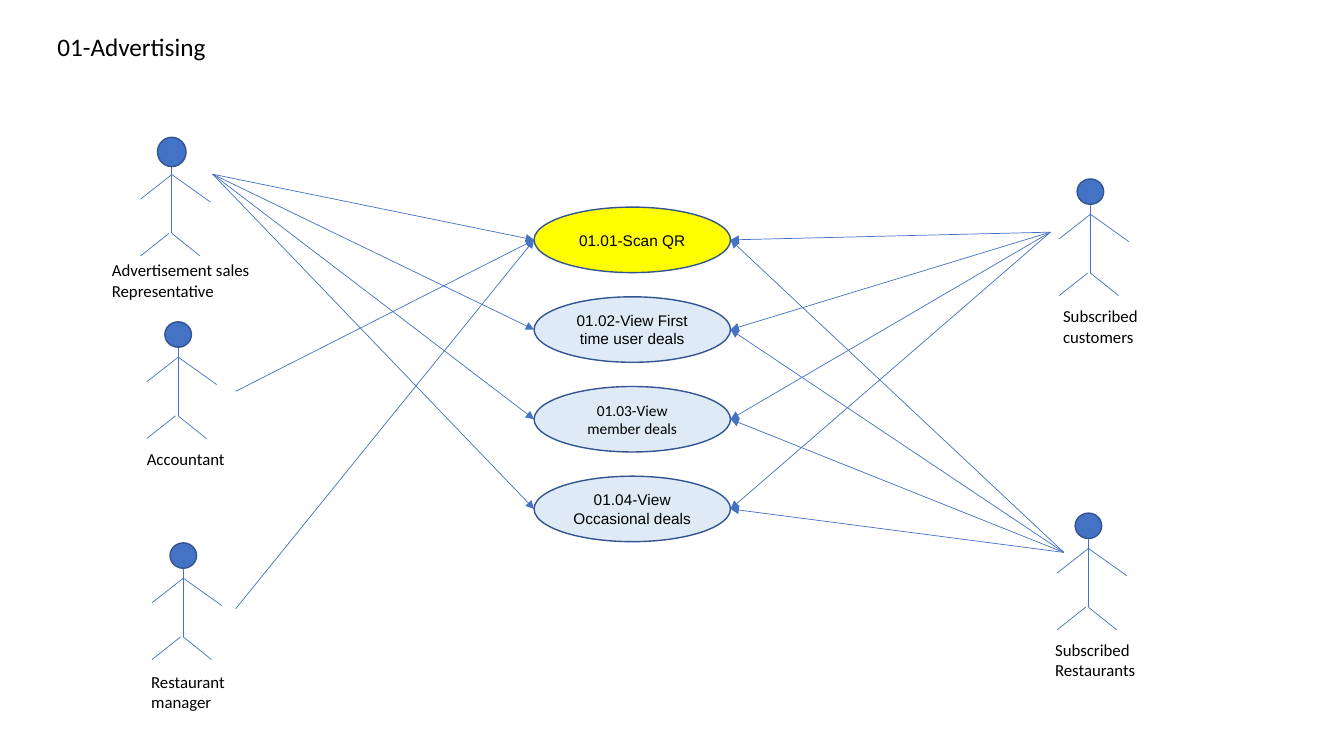
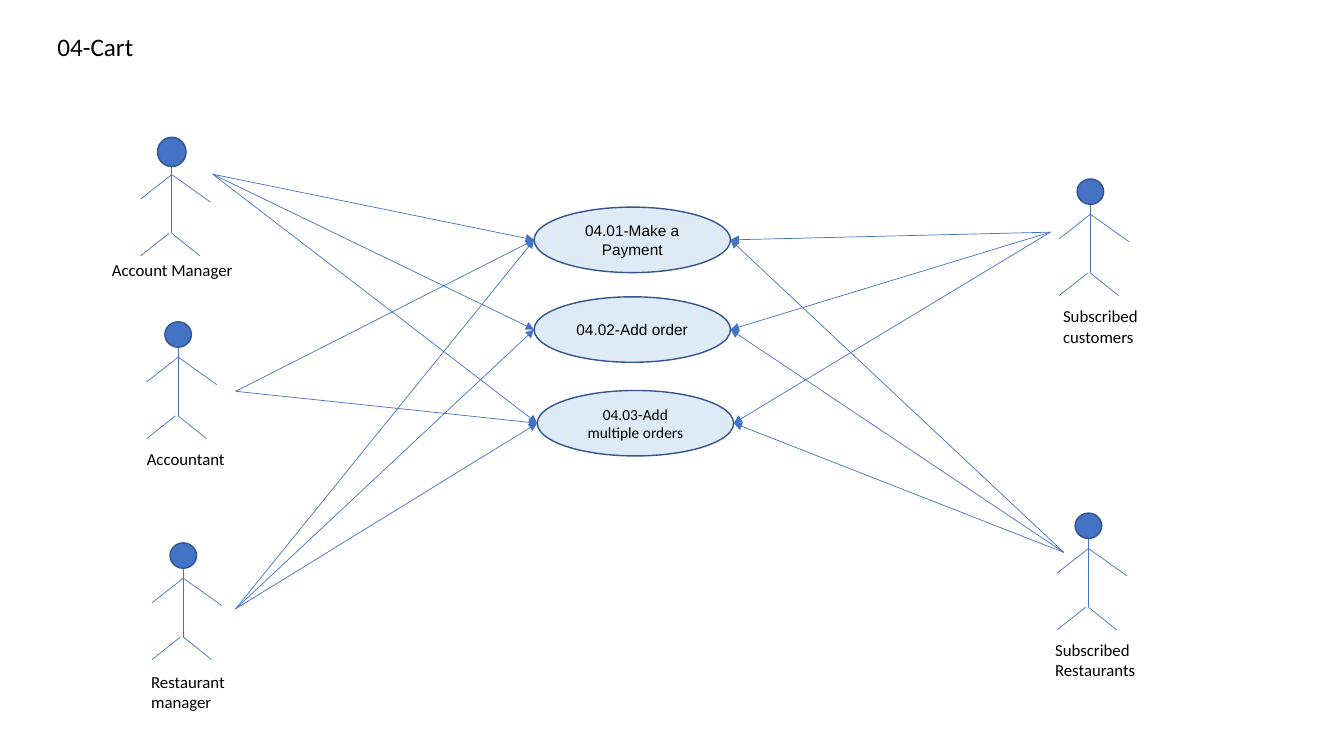
"""Build two use-case diagrams that link actors to the cases they take part in."""
from lxml import etree
from pptx import Presentation
from pptx.dml.color import RGBColor
from pptx.enum.shapes import MSO_CONNECTOR, MSO_SHAPE
from pptx.enum.text import MSO_ANCHOR, MSO_AUTO_SIZE, PP_ALIGN
from pptx.oxml.ns import qn
from pptx.util import Cm, Pt

OVAL, STRAIGHT = MSO_SHAPE.OVAL, MSO_CONNECTOR.STRAIGHT
LEFT, CENTER = PP_ALIGN.LEFT, PP_ALIGN.CENTER
TOP, MIDDLE = MSO_ANCHOR.TOP, MSO_ANCHOR.MIDDLE
NO_FIT, GROW = MSO_AUTO_SIZE.NONE, MSO_AUTO_SIZE.SHAPE_TO_FIT_TEXT

BLUE, OUTLINE, PALE, YELLOW, BLACK = "4472C4", "325491", "DEEBF7", "FFFF00", "000000"
rgb = RGBColor.from_string

CASE_LEFT, CASE_TOP, CASE_STEP = 13.46, 5.22, 2.26
CASE_WIDTH, CASE_HEIGHT = 4.95, 1.65

LIMBS = [
    (0, 0, 0, 1.74),
    (0, 1.74, 0.71, 2.31),
    (-0.79, 0.88, 0, 0.26),
    (0, 0.26, 0.97, 0.95),
    (-0.79, 2.31, -0.07, 1.74),
]
HEAD_RISE = 0.31
SMALL_HEAD, LARGE_HEAD = (0.67, 0.64), (0.72, 0.74)

# neck, head size, label place and width, start of links
ACTORS = {
    "sales": ((4.33, 4.14), LARGE_HEAD, (2.57, 6.43, 4.47), (5.36, 4.39)),
    "accountant": ((4.49, 8.74), SMALL_HEAD, (3.45, 11.18, 2.87), (5.94, 9.86)),
    "manager": ((4.62, 14.31), SMALL_HEAD, (3.56, 16.81, 2.87), (5.94, 15.34)),
    "customers": ((27.48, 5.14), SMALL_HEAD, (26.54, 7.59, 2.87), (26.47, 5.85)),
    "restaurants": ((27.43, 13.56), SMALL_HEAD, (26.34, 16, 2.87), (26.81, 13.92)),
}
LABELS = {
    "accountant": "Accountant",
    "manager": "Restaurant manager",
    "customers": "Subscribed customers",
    "restaurants": "Subscribed Restaurants",
}

# case: text, fill, font, shift right, shift down
DIAGRAMS = [
    {
        "title": "01-Advertising",
        "labels": {"sales": "Advertisement sales Representative", **LABELS},
        "cases": [
            ("01.01-Scan QR", YELLOW, "Arial", 0, 0),
            ("01.02-View First time user deals", PALE, "Arial", 0, 0),
            ("01.03-View member deals", PALE, "Calibri", 0, 0),
            ("01.04-View Occasional deals", PALE, "Arial", 0, 0),
        ],
        "links": {"sales": [0, 1, 2, 3], "accountant": [0], "manager": [0],
                  "customers": [0, 1, 2, 3], "restaurants": [0, 1, 2, 3]},
    },
    {
        "title": "04-Cart",
        "labels": {"sales": "Account Manager", **LABELS},
        "cases": [
            ("04.01-Make a Payment", PALE, "Arial", 0, 0),
            ("04.02-Add order", PALE, "Arial", 0, 0),
            ("04.03-Add multiple orders", PALE, "Calibri", 0.08, 0.1),
        ],
        "links": {"sales": [0, 1, 2], "accountant": [0, 2], "manager": [0, 1, 2],
                  "customers": [0, 1, 2], "restaurants": [0, 1, 2]},
    },
]


def write(shape, text, size=12, font="Calibri", align=LEFT, anchor=TOP, fit=NO_FIT):
    """Put formatted text into a shape."""
    frame = shape.text_frame
    frame.word_wrap = True
    frame.auto_size = fit
    frame.vertical_anchor = anchor
    paragraph = frame.paragraphs[0]
    paragraph.alignment = align
    run = paragraph.add_run()
    run.text = text
    run.font.size = Pt(size)
    run.font.name = font
    run.font.color.rgb = rgb(BLACK)


def draw_line(slide, x1, y1, x2, y2, arrow=False):
    """Draw a thin line, with an arrowhead at its end if asked."""
    line = slide.shapes.add_connector(STRAIGHT, Cm(x1), Cm(y1), Cm(x2), Cm(y2))
    line.line.color.rgb = rgb(BLUE)
    line.line.width = Pt(0.5)
    properties = line._element.spPr
    if arrow:
        etree.SubElement(properties.find(qn("a:ln")), qn("a:tailEnd"), type="triangle")
    etree.SubElement(properties, qn("a:effectLst"))


deck = Presentation()
deck.slide_width, deck.slide_height = Cm(33.87), Cm(19.05)
title_only = deck.slide_layouts[5]

for diagram in DIAGRAMS:
    slide = deck.slides.add_slide(title_only)
    title = slide.shapes.title
    title.left, title.top, title.width, title.height = Cm(1.19), Cm(0.66), Cm(6.99), Cm(1.02)
    write(title, diagram["title"], size=18)

    ovals = []
    case_places = []
    for row, (text, fill, font, right, down) in enumerate(diagram["cases"]):
        x, y = CASE_LEFT + right, CASE_TOP + row * CASE_STEP + down
        case_places.append((x, y + CASE_HEIGHT / 2))
        ovals.append((x, y, CASE_WIDTH, CASE_HEIGHT, fill, text, font))

    for actor, (neck, head, label_place, link_start) in ACTORS.items():
        neck_x, neck_y = neck
        head_width, head_height = head
        ovals.append((neck_x - head_width / 2, neck_y - HEAD_RISE - head_height / 2,
                      head_width, head_height, BLUE, "", ""))
        for x1, y1, x2, y2 in LIMBS:
            draw_line(slide, neck_x + x1, neck_y + y1, neck_x + x2, neck_y + y2)

        label_x, label_y, label_width = label_place
        label = slide.shapes.add_textbox(Cm(label_x), Cm(label_y), Cm(label_width), Cm(0.77))
        write(label, diagram["labels"][actor], fit=GROW)

    for x, y, width, height, fill, text, font in ovals:
        oval = slide.shapes.add_shape(OVAL, Cm(x), Cm(y), Cm(width), Cm(height))
        oval.shadow.inherit = False
        oval.fill.solid()
        oval.fill.fore_color.rgb = rgb(fill)
        oval.line.color.rgb = rgb(OUTLINE)
        oval.line.width = Pt(1)
        if text:
            write(oval, text, size=11, font=font, align=CENTER, anchor=MIDDLE)

    for actor, rows in diagram["links"].items():
        start_x, start_y = ACTORS[actor][3]
        for row in rows:
            case_x, case_y = case_places[row]
            end_x = case_x if start_x < case_x else case_x + CASE_WIDTH
            draw_line(slide, start_x, start_y, end_x, case_y, arrow=True)

deck.save("out.pptx")
